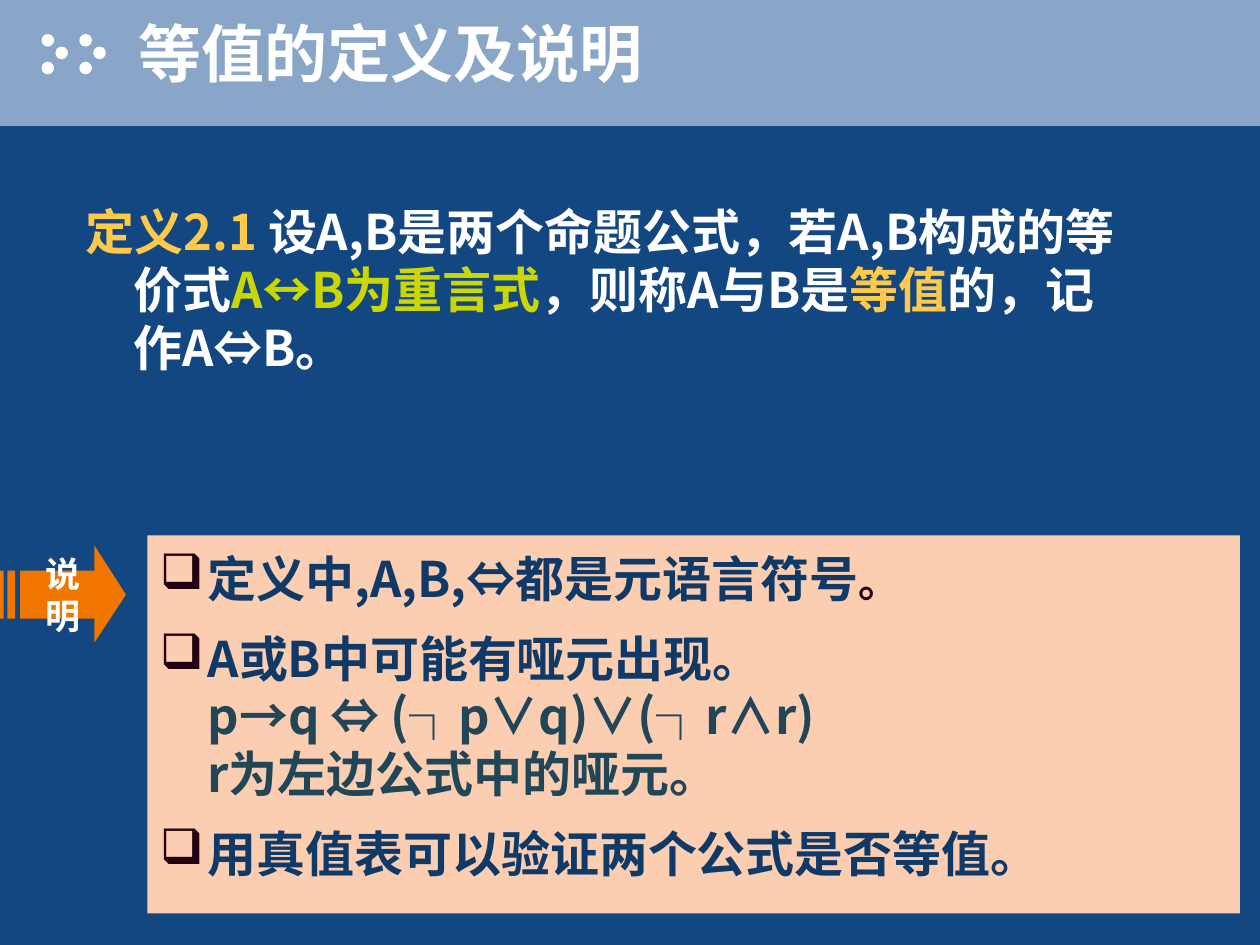
from lxml import etree
from pptx import Presentation
from pptx.dml.color import RGBColor
from pptx.enum.shapes import MSO_SHAPE
from pptx.enum.text import MSO_ANCHOR, PP_ALIGN
from pptx.oxml.ns import qn
from pptx.util import Inches, Pt

RECTANGLE, OVAL = MSO_SHAPE.RECTANGLE, MSO_SHAPE.OVAL
TOP, MIDDLE = MSO_ANCHOR.TOP, MSO_ANCHOR.MIDDLE
LEFT, CENTER = PP_ALIGN.LEFT, PP_ALIGN.CENTER

NAVY = RGBColor(0x13, 0x47, 0x81)
STEEL = RGBColor(0x89, 0xA5, 0xC7)
WHITE = RGBColor(0xFF, 0xFF, 0xFF)
GOLD = RGBColor(0xFF, 0xC9, 0x4C)
LIME = RGBColor(0xCA, 0xD7, 0x04)
ORANGE = RGBColor(0xF0, 0x76, 0x00)
PEACH = RGBColor(0xFC, 0xCE, 0xB1)
INK = RGBColor(0x0F, 0x3A, 0x68)
TEAL = RGBColor(0x20, 0x46, 0x58)
DARK = RGBColor(0x22, 0x00, 0x11)

CJK = "Noto Sans CJK SC"
HANGING = 0.38


class SlideBuilder:
    def __init__(self, slide):
        self.slide = slide
        self.shapes = slide.shapes

    def background(self, color):
        self.slide.background.fill.solid()
        self.slide.background.fill.fore_color.rgb = color

    def paint(self, shape, color):
        shape.shadow.inherit = False
        shape.fill.solid()
        shape.fill.fore_color.rgb = color
        shape.line.fill.background()
        return shape

    def block(self, kind, box, color):
        return self.paint(self.shapes.add_shape(kind, *map(Inches, box)), color)

    def outline(self, contours, color):
        first, *others = contours
        builder = self.shapes.build_freeform(*map(Inches, first[0]), scale=1.0)
        builder.add_line_segments([tuple(map(Inches, p)) for p in first[1:]])
        for contour in others:
            builder.move_to(*map(Inches, contour[0]))
            builder.add_line_segments([tuple(map(Inches, p)) for p in contour[1:]])
        return self.paint(builder.convert_to_shape(), color)

    def text_box(self, box):
        return self.shapes.add_textbox(*map(Inches, box))

    def frame(self, shape, anchor=TOP, side=0.1, top=0.05):
        frame = shape.text_frame
        settings = {
            "word_wrap": True, "vertical_anchor": anchor,
            "margin_left": Inches(side), "margin_right": Inches(side),
            "margin_top": Inches(top), "margin_bottom": Inches(0.05),
        }
        for name, value in settings.items():
            setattr(frame, name, value)
        return frame

    def paragraph(self, paragraph, runs, align=LEFT, font=CJK, size=28, **spacing):
        for name, value in {"alignment": align, **spacing}.items():
            setattr(paragraph, name, value)
        for text, color, *own_size in runs:
            for number, line in enumerate(text.split("\n")):
                if number:
                    paragraph.add_line_break()
                if line:
                    self.run(paragraph, line, color, font, *(own_size or [size]))

    def run(self, paragraph, text, color, font, size):
        run = paragraph.add_run()
        run.text = text
        for name, value in {"name": font, "size": Pt(size), "bold": True}.items():
            setattr(run.font, name, value)
        run.font.color.rgb = color
        east_asian = etree.SubElement(run.font._element, qn("a:ea"))
        east_asian.set("typeface", CJK)

    def hang(self, paragraph, bullet=None):
        properties = paragraph._p.get_or_add_pPr()
        properties.set("marL", str(Inches(HANGING)))
        properties.set("indent", str(-Inches(HANGING)))
        if bullet:
            color = etree.SubElement(properties, qn("a:buClr"))
            etree.SubElement(color, qn("a:srgbClr")).set("val", str(DARK))
            etree.SubElement(properties, qn("a:buChar")).set("char", bullet)

    def text_shadow(self, paragraph):
        for run in paragraph.runs:
            effects = etree.Element(qn("a:effectLst"))
            shadow = etree.SubElement(effects, qn("a:outerShdw"))
            shadow.set("dist", str(Pt(2)))
            shadow.set("dir", "2700000")
            etree.SubElement(shadow, qn("a:srgbClr")).set("val", str(DARK))
            run.font._element.find(qn("a:solidFill")).addnext(effects)


def main():
    deck = Presentation()
    deck.slide_width, deck.slide_height = Inches(10), Inches(7.5)
    page = SlideBuilder(deck.slides.add_slide(deck.slide_layouts[6]))
    page.background(NAVY)

    # Header band with two chevrons of dots
    page.block(RECTANGLE, (0, 0, 10, 1), STEEL)
    for chevron_left in (0.33, 0.63):
        for dx, y in ((0, 0.27), (0.11, 0.37), (0, 0.49)):
            page.block(OVAL, (chevron_left + dx, y, 0.1, 0.1), WHITE)

    # Title
    title = page.frame(page.text_box((1, 0, 9, 0.83)), MIDDLE).paragraphs[0]
    page.paragraph(title, [("等值的定义及说明", WHITE)], size=36)
    page.text_shadow(title)

    # Definition
    definition = page.frame(page.text_box((0.58, 1.5, 8.58, 1.83)), top=0.11).paragraphs[0]
    page.paragraph(definition, [
        ("定义2.1", GOLD),
        (" 设A,B是两个命题公式，若A,B构成的等价式", WHITE),
        ("A↔B为重言式", LIME),
        ("，则称A与B是", WHITE),
        ("等值", GOLD),
        ("的，记作A⇔B。", WHITE),
    ], line_spacing=Pt(33))
    page.hang(definition)

    # Striped arrow label
    upper, lower = 4.53, 4.91
    stripes = [
        [(x1, upper), (x1, lower), (x2, lower), (x2, upper), (x1, upper)]
        for x1, x2 in ((0.06, 0.12), (0, 0.03))
    ]
    arrow = [(0.75, 4.33), (0.75, upper), (0.16, upper), (0.16, lower),
             (0.75, lower), (0.75, 5.1), (1, 4.72), (0.75, 4.33)]
    label = page.frame(page.outline([arrow, *stripes], ORANGE), MIDDLE, side=0.3)
    page.paragraph(label.paragraphs[0], [("说明", WHITE)], CENTER, "Arial", 20,
                   line_spacing=Pt(24))

    # Remarks panel
    remarks = [
        [("定义中,A,B,⇔都是元语言符号", INK), ("。", DARK, 24)],
        [("A或B中可能有哑元出现。\n", INK),
         ("p→q ⇔ (┐p∨q)∨(┐r∧r)\nr为左边公式中的哑元。", TEAL)],
        [("用真值表可以验证两个公式是否等值。", INK)],
    ]
    panel = page.frame(page.block(RECTANGLE, (1.17, 4.25, 8.67, 3), PEACH), top=0.11)
    for number, runs in enumerate(remarks):
        remark = panel.add_paragraph() if number else panel.paragraphs[0]
        page.paragraph(remark, runs, line_spacing=Pt(33),
                       space_before=Pt(12.6 if number else 0))
        page.hang(remark, "❑")

    deck.save("out.pptx")


if __name__ == "__main__":
    main()
